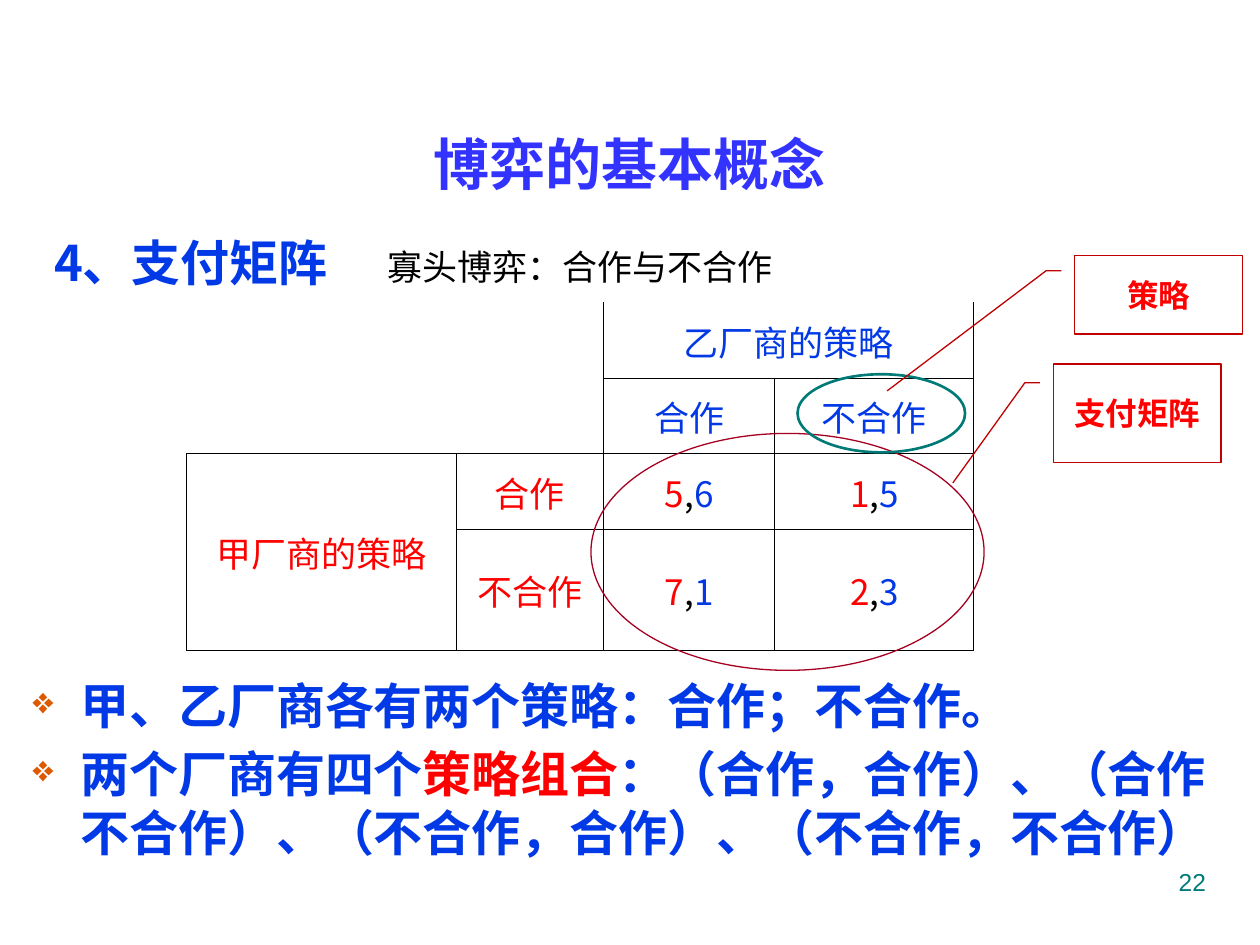
from dataclasses import dataclass
from lxml.etree import SubElement
from pptx import Presentation
from pptx.dml.color import RGBColor as Rgb
from pptx.enum.shapes import MSO_SHAPE as Form
from pptx.enum.text import MSO_ANCHOR as Anchor, PP_ALIGN as Align
from pptx.oxml.ns import qn
from pptx.util import Inches, Pt


@dataclass(frozen=True)
class Theme:
    han: str = "Noto Sans CJK SC"
    latin: str = "Arial"
    title: str = "3333FF"
    blue: str = "0039E5"
    red: str = "FF0000"
    black: str = "000000"
    teal: str = "007A77"
    wine: str = "A50021"
    call: str = "C00000"
    mark: str = "DC5900"
    head: int = 32
    body: int = 28
    cell: int = 20
    note: int = 18
    page: int = 14


T = Theme()
WIDE, HIGH = Inches(10), Inches(7.5)

# Payoff table: one letter per cell, repeated over merged cells, "." for no box
PLAN = ["....", "..aa", "..bc", "defg", "dhij"]
COLS = [21.4, 11.7, 13.6, 15.8]
ROWS = [8, 8, 8, 8, 12.8]
MERGES = [(0, 0, 0, 3), (1, 2, 1, 3), (3, 0, 4, 0)]
LABELS = {
    (0, 0): ("寡头博弈：合作与不合作", T.black),
    (1, 2): ("乙厂商的策略", T.blue),
    (2, 2): ("合作", T.blue),
    (2, 3): ("不合作", T.blue),
    (3, 0): ("甲厂商的策略", T.red),
    (3, 1): ("合作", T.red),
    (4, 1): ("不合作", T.red),
}
PAYOFFS = {(3, 2): "56", (3, 3): "15", (4, 2): "71", (4, 3): "23"}


def across(share):
    return int(WIDE * share / 100)


def down(share):
    return int(HIGH * share / 100)


def box(x, y, w, h):
    """Turn percent shares of the slide into a position and size."""
    return across(x), down(y), across(w), down(h)


def write(para, runs, size, face=T.han, bold=False, align=Align.CENTER):
    para.alignment = align
    font = para.font
    font.size, font.bold, font.name = Pt(size), bold, face
    SubElement(font._element, qn("a:ea"), typeface=T.han)
    for text, color in runs:
        run = para.add_run()
        run.text = text
        run.font.color.rgb = Rgb.from_string(color)


def add_text(slide, area, runs, size, anchor=Anchor.TOP, **style):
    frame = slide.shapes.add_textbox(*box(*area)).text_frame
    frame.word_wrap = True
    frame.vertical_anchor = anchor
    write(frame.paragraphs[0], runs, size, **style)
    return frame


def add_list(slide, area, items):
    frame = slide.shapes.add_textbox(*box(*area)).text_frame
    frame.word_wrap = True
    for i, runs in enumerate(items):
        para = frame.add_paragraph() if i else frame.paragraphs[0]
        para.space_before = Pt(T.body * 0.2)
        props = para._p.get_or_add_pPr()
        props.set("marL", str(Inches(0.38)))
        props.set("indent", str(-Inches(0.38)))
        tint = SubElement(props, qn("a:buClr"))
        SubElement(tint, qn("a:srgbClr"), val=T.mark)
        SubElement(props, qn("a:buSzPct"), val="75000")
        SubElement(props, qn("a:buChar"), char="❖")
        write(para, runs, T.body, bold=True, align=Align.LEFT)


def add_form(slide, form, area, color, width):
    shape = slide.shapes.add_shape(form, *box(*area))
    shape.shadow.inherit = False
    shape.fill.background()
    shape.line.color.rgb = Rgb.from_string(color)
    shape.line.width = Pt(width)
    return shape


def add_call(slide, area, text, tip):
    shape = add_form(slide, Form.LINE_CALLOUT_2, area, T.call, 0.75)
    for i, value in enumerate((0.19, -0.08, 0.19, -0.17, *tip)):
        shape.adjustments[i] = value
    frame = shape.text_frame
    frame.word_wrap = False
    frame.vertical_anchor = Anchor.MIDDLE
    write(frame.paragraphs[0], [(text, T.red)], T.note, T.latin, True)


def owner(r, c):
    inside = 0 <= r < len(ROWS) and 0 <= c < len(COLS)
    return PLAN[r][c] if inside else "."


def add_edges(cell, r, c):
    """Draw a side wherever the two cells it parts differ in PLAN."""
    props = cell._tc.get_or_add_tcPr()
    high, wide = (cell.span_height, cell.span_width) if cell.is_merge_origin else (1, 1)
    sides = {"L": (r, c - 1), "R": (r, c + wide), "T": (r - 1, c), "B": (r + high, c)}
    for i, (side, near) in enumerate(sides.items()):
        line = props.makeelement(qn("a:ln" + side), {"w": str(Pt(0.5))})
        props.insert(i, line)
        open_top = (r, side) in ((0, "B"), (1, "T"))
        if owner(r, c) != owner(*near) and not open_top:
            fill = SubElement(line, qn("a:solidFill"))
            SubElement(fill, qn("a:srgbClr"), val=T.black)
        else:
            SubElement(line, qn("a:noFill"))


def add_matrix(slide, x, y):
    area = box(x, y, sum(COLS), sum(ROWS))
    table = slide.shapes.add_table(len(ROWS), len(COLS), *area).table
    table.first_row = table.horz_banding = False
    for col, share in zip(table.columns, COLS):
        col.width = across(share)
    for row, share in zip(table.rows, ROWS):
        row.height = down(share)
    for top, left, end, right in MERGES:
        table.cell(top, left).merge(table.cell(end, right))

    texts = {spot: [label] for spot, label in LABELS.items()}
    for spot, (first, second) in PAYOFFS.items():
        texts[spot] = [(first, T.red), (",", T.black), (second, T.blue)]
    for r in range(len(ROWS)):
        for c in range(len(COLS)):
            cell = table.cell(r, c)
            cell.fill.background()
            cell.vertical_anchor = Anchor.MIDDLE
            cell.margin_left = cell.margin_right = cell.margin_top = Inches(0.01)
            cell.margin_bottom = 0
            add_edges(cell, r, c)
            write(cell.text_frame.paragraphs[0], texts.get((r, c), []), T.cell)


def main():
    deck = Presentation()
    deck.slide_width, deck.slide_height = WIDE, HIGH
    slide = deck.slides.add_slide(deck.slide_layouts[6])

    # Title and payoff matrix
    add_text(slide, (3.3, 8.93, 93.4, 16.67), [("博弈的基本概念", T.title)],
             T.head, Anchor.MIDDLE, bold=True)
    add_matrix(slide, 14.8, 24)

    # Ring and callout for the payoffs
    add_form(slide, Form.OVAL, (46.9, 45.87, 31.2, 25.07), T.wine, 0.75)
    add_call(slide, (83.6, 38.53, 13.3, 10.4), "支付矩阵", (1.21, -0.6))

    # Remarks, section heading and page number
    add_list(slide, (1.6, 70.8, 96.9, 24), [
        [("甲、乙厂商各有两个策略：合作；不合作。", T.blue)],
        [("两个厂商有四个", T.blue), ("策略组合", T.red),
         ("：（合作，合作）、（合作不合作）、（不合作，合作）、（不合作，不合作）", T.blue)],
    ])
    add_text(slide, (3.3, 24, 23.7, 7.6), [("4、支付矩阵", T.blue)], T.body, bold=True)
    add_text(slide, (71.7, 91.07, 25, 6.93), [("22", T.teal)], T.page,
             face=T.latin, align=Align.RIGHT)

    # Ring and callout for one strategy
    add_form(slide, Form.OVAL, (63.3, 39.6, 13.3, 8.27), T.teal, 1.5)
    add_call(slide, (85.3, 27.07, 13.3, 8.27), "策略", (1.73, -1.12))

    deck.save("out.pptx")


if __name__ == "__main__":
    main()
